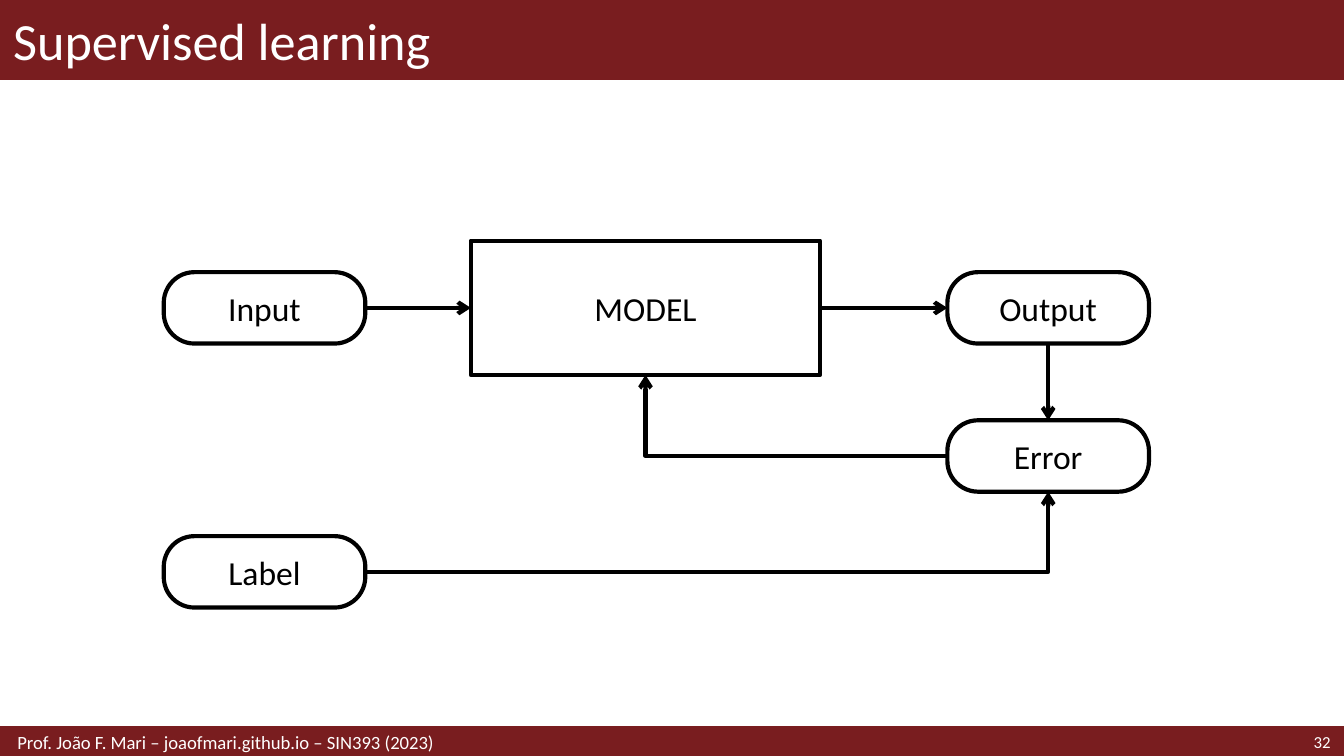
"""Build the supervised learning flow diagram slide."""
from lxml import etree
from pptx import Presentation
from pptx.dml.color import RGBColor
from pptx.enum.shapes import MSO_CONNECTOR, MSO_SHAPE
from pptx.enum.text import MSO_ANCHOR, PP_ALIGN
from pptx.oxml.ns import qn
from pptx.util import Cm, Pt

RECTANGLE, ROUNDED = MSO_SHAPE.RECTANGLE, MSO_SHAPE.ROUNDED_RECTANGLE
STRAIGHT, ELBOW = MSO_CONNECTOR.STRAIGHT, MSO_CONNECTOR.ELBOW
LEFT, CENTER, RIGHT = PP_ALIGN.LEFT, PP_ALIGN.CENTER, PP_ALIGN.RIGHT
TOP_SIDE, LEFT_SIDE, BOTTOM_SIDE, RIGHT_SIDE = range(4)
COLORS = {"bar": "791D1F", "light": "FFFFFF", "ink": "000000"}
WIDTH, HEIGHT = 25.4, 14.29
TITLE_HEIGHT, FOOTER_HEIGHT = 1.5, 0.53
FOOTER_TOP = HEIGHT - FOOTER_HEIGHT


def color(name):
    return RGBColor.from_string(COLORS[name])


def write(shape, text, size, ink, alignment):
    frame = shape.text_frame
    frame.word_wrap = True
    frame.vertical_anchor = MSO_ANCHOR.MIDDLE
    paragraph = frame.paragraphs[0]
    paragraph.alignment = alignment
    run = paragraph.add_run()
    run.text = text
    run.font.name = "Calibri"
    run.font.size = Pt(size)
    run.font.color.rgb = color(ink)


presentation = Presentation()
presentation.slide_width = Cm(WIDTH)
presentation.slide_height = Cm(HEIGHT)
slide = presentation.slides.add_slide(presentation.slide_layouts[6])
shapes = slide.shapes

for top, height, weight in ((0, TITLE_HEIGHT, 1), (FOOTER_TOP, FOOTER_HEIGHT, 2)):
    bar = shapes.add_shape(RECTANGLE, 0, Cm(top), Cm(WIDTH), Cm(height))
    bar.shadow.inherit = False
    bar.fill.solid()
    bar.fill.fore_color.rgb = color("bar")
    bar.line.color.rgb = color("bar")
    bar.line.width = Pt(weight)

labels = (
    ("Supervised learning", 0, 0, WIDTH, TITLE_HEIGHT, 28, LEFT, 0.25),
    ("32", 22.5, FOOTER_TOP, 2.9, FOOTER_HEIGHT, 9, RIGHT, 0.25),
    ("Prof. João F. Mari – joaofmari.github.io – SIN393 (2023)",
     0, FOOTER_TOP, 17.5, FOOTER_HEIGHT, 10, LEFT, 0.33),
)
for text, left, top, width, height, size, alignment, inset in labels:
    label = shapes.add_textbox(Cm(left), Cm(top), Cm(width), Cm(height))
    write(label, text, size, "light", alignment)
    label.text_frame.margin_left = Cm(inset)

left_column, model_column, right_column = 5.0, 12.2, 19.81
main_row, error_row, label_row = 5.82, 8.62, 10.81
nodes = {}
for text, center_x, center_y, kind, width, height in (
    ("MODEL", model_column, main_row, RECTANGLE, 6.6, 2.54),
    ("Input", left_column, main_row, ROUNDED, 3.81, 1.35),
    ("Output", right_column, main_row, ROUNDED, 3.81, 1.35),
    ("Error", right_column, error_row, ROUNDED, 3.81, 1.35),
    ("Label", left_column, label_row, ROUNDED, 3.81, 1.35),
):
    node = shapes.add_shape(kind, Cm(center_x - width / 2), Cm(center_y - height / 2),
                            Cm(width), Cm(height))
    if kind == ROUNDED:
        node.adjustments[0] = 0.43
    node.shadow.inherit = False
    node.fill.background()
    node.line.color.rgb = color("ink")
    node.line.width = Pt(2.25)
    write(node, text, 18, "ink", CENTER)
    nodes[text] = node

for kind, source, source_side, target, target_side in (
    (STRAIGHT, "Input", RIGHT_SIDE, "MODEL", LEFT_SIDE),
    (STRAIGHT, "MODEL", RIGHT_SIDE, "Output", LEFT_SIDE),
    (STRAIGHT, "Output", BOTTOM_SIDE, "Error", TOP_SIDE),
    (ELBOW, "Error", LEFT_SIDE, "MODEL", BOTTOM_SIDE),
    (ELBOW, "Label", RIGHT_SIDE, "Error", BOTTOM_SIDE),
):
    connector = shapes.add_connector(kind, 0, 0, 0, 0)
    connector.begin_connect(nodes[source], source_side)
    connector.end_connect(nodes[target], target_side)
    connector.line.color.rgb = color("ink")
    connector.line.width = Pt(2.25)
    properties = connector._element.spPr
    if kind == ELBOW:
        properties.find(qn("a:prstGeom")).set("prst", "bentConnector2")
    etree.SubElement(properties.find(qn("a:ln")), qn("a:tailEnd"), type="arrow")
    etree.SubElement(properties, qn("a:effectLst"))

presentation.save("out.pptx")
